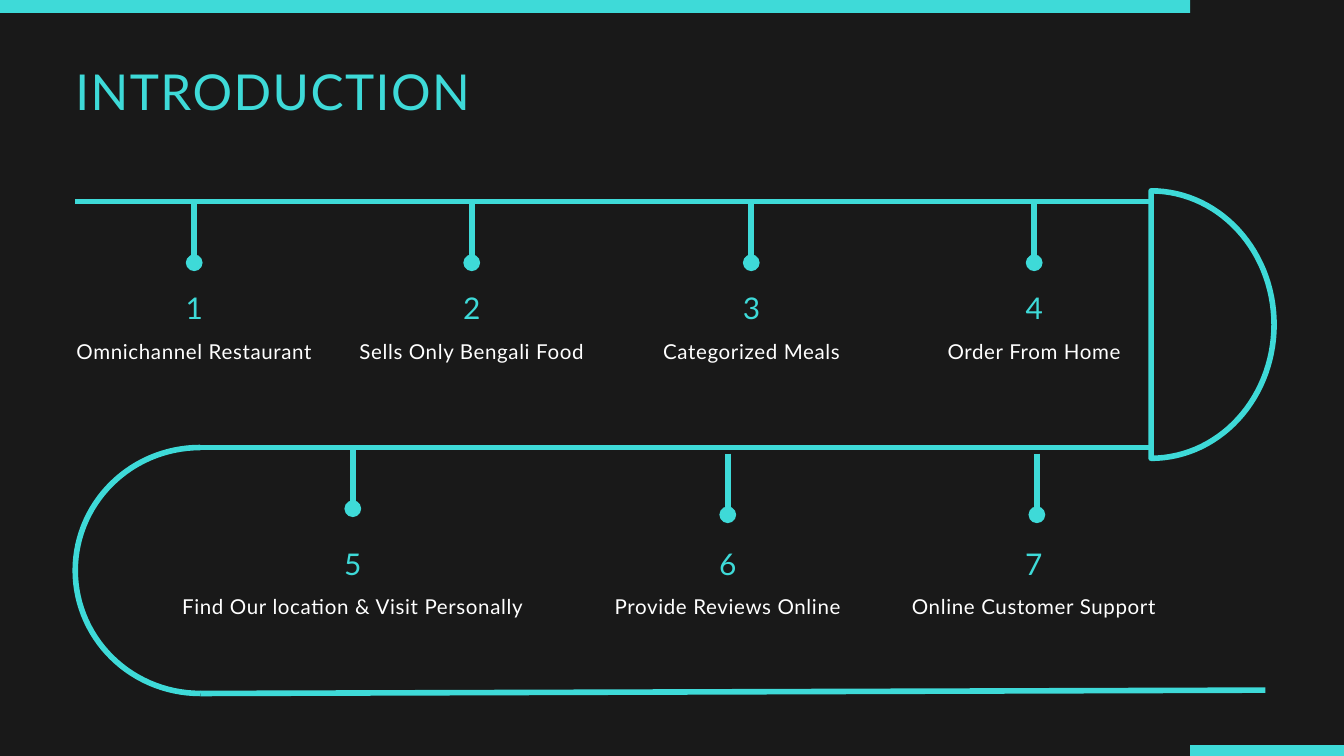
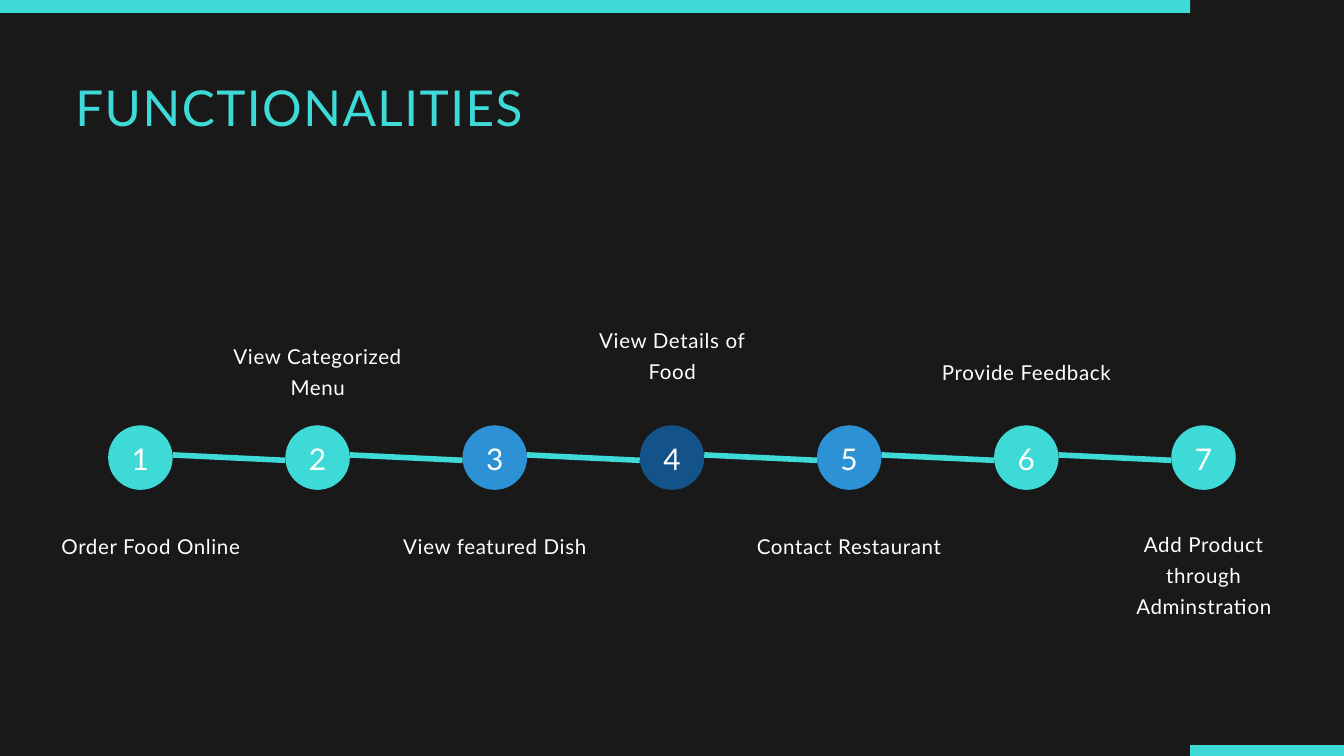
import math

import pptx
import pptx.dml.color
import pptx.enum.shapes
import pptx.enum.text
import pptx.oxml
import pptx.oxml.ns
import pptx.util

PX = 9144  # EMU per px, 100 px to the inch
SLIDE_W, SLIDE_H = 2000, 1125

DARK = pptx.dml.color.RGBColor(0x19, 0x19, 0x19)
TEAL = pptx.dml.color.RGBColor(0x3E, 0xDA, 0xD8)
BLUE = pptx.dml.color.RGBColor(0x2C, 0x92, 0xD5)
NAVY = pptx.dml.color.RGBColor(0x13, 0x53, 0x8A)
WHITE = pptx.dml.color.RGBColor(0xFF, 0xFF, 0xFF)

FONT = "Lato"
# size, line spacing, letter spacing (points), colour
TITLE = (53, 68.9, 1.6, TEAL)
NUMBER = (32, 41.6, 1.6, TEAL)
LABEL = (22, 33, 0.7, WHITE)
CIRCLE_NUMBER = (32, 48, 1, WHITE)

LEFT = pptx.enum.text.PP_ALIGN.LEFT
CENTER = pptx.enum.text.PP_ALIGN.CENTER
SHAPE = pptx.enum.shapes.MSO_SHAPE

# left, top, width, height
BARS = [(1771, 1109, 229, 16), (0, 0, 1771, 19)]

# x1, y1, x2, y2
TRACKS = [(112, 300, 1711, 300), (298, 666, 1711, 666), (298, 1032, 1883, 1027)]
# flat side x, centre y, horizontal radius (negative bulges left), vertical radius, closed
BENDS = [(1713, 483, 183, 199, True), (298, 849, -186, 183, False)]

STEM = 91
# top of the numbers, then milestones: stem x, stem top, text left, text width, label
ROWS = [
    (427, [
        (289, 300, 107, 364, "Omnichannel Restaurant"),
        (702, 300, 530, 344, "Sells Only Bengali Food"),
        (1118, 300, 939, 359, "Categorized Meals"),
        (1539, 300, 1367, 344, "Order From Home"),
    ]),
    (807, [
        (525, 666, 265, 520, "Find Our location & Visit Personally"),
        (1083, 675, 911, 344, "Provide Reviews Online"),
        (1543, 675, 1338, 401, "Online Customer Support"),
    ]),
]

# label, circle colour, label left, top, width, height
FUNCTIONS = [
    ("Order Food Online", TEAL, 78, 786, 293, 42),
    ("View Categorized Menu", TEAL, 313, 503, 320, 87),
    ("View featured Dish", BLUE, 590, 786, 293, 42),
    ("View Details of Food", NAVY, 854, 479, 293, 87),
    ("Contact Restaurant", BLUE, 1117, 786, 293, 42),
    ("Provide Feedback", TEAL, 1381, 526, 293, 42),
    ("Add Product through Adminstration", TEAL, 1645, 783, 293, 131),
]
CIRCLE = 96
CIRCLE_TOP = 633
FIRST_CENTER, LAST_CENTER = 209, 1791
LINK_START_Y, LINK_END_Y = 677, 685


def px(*lengths):
    return [pptx.util.Emu(round(length * PX)) for length in lengths]


def write(frame, text, style, align):
    size, line, tracking, color = style
    frame.margin_left = frame.margin_top = frame.margin_right = frame.margin_bottom = 0
    paragraph = frame.paragraphs[0]
    paragraph.text = text
    paragraph.alignment = align
    paragraph.line_spacing = pptx.util.Pt(line)
    font = paragraph.font
    font.name, font.size = FONT, pptx.util.Pt(size)
    font.color.rgb = color
    defaults = paragraph._p.pPr.find(pptx.oxml.ns.qn("a:defRPr"))
    defaults.set("spc", str(round(tracking * 100)))


def add_text(slide, text, style, left, top, width, height, align=CENTER):
    frame = slide.shapes.add_textbox(*px(left, top, width, height)).text_frame
    frame.word_wrap = True
    frame.auto_size = pptx.enum.text.MSO_AUTO_SIZE.SHAPE_TO_FIT_TEXT
    write(frame, text, style, align)


def add_filled(slide, preset, color, *box):
    shape = slide.shapes.add_shape(preset, *px(*box))
    shape.shadow.inherit = False
    shape.fill.solid()
    shape.fill.fore_color.rgb = color
    shape.line.fill.background()
    return shape


def set_stroke(line):
    line.color.rgb = TEAL
    line.width = pptx.util.Pt(6)


def add_line(slide, ends, dot=False):
    line = slide.shapes.add_connector(
        pptx.enum.shapes.MSO_CONNECTOR.STRAIGHT, *px(*ends))
    set_stroke(line.line)
    properties = line._element.spPr
    if dot:
        tail = pptx.oxml.parse_xml(
            f'<a:tailEnd {pptx.oxml.ns.nsdecls("a")} type="oval"/>')
        properties.find(pptx.oxml.ns.qn("a:ln")).append(tail)
    properties.append(pptx.oxml.parse_xml(
        f'<a:effectLst {pptx.oxml.ns.nsdecls("a")}/>'))


def add_bend(slide, x, y, radius_x, radius_y, closed, steps=60):
    """Draw half an ellipse that leads the track from one row to the next."""
    angles = [math.pi * (i / steps - 0.5) for i in range(steps + 1)]
    points = [px(x + radius_x * math.cos(a), y + radius_y * math.sin(a)) for a in angles]
    builder = slide.shapes.build_freeform(*points[0])
    builder.add_line_segments(points[1:], close=closed)
    bend = builder.convert_to_shape()
    bend.shadow.inherit = False
    bend.fill.background()
    set_stroke(bend.line)


def add_slide(deck, title, title_top):
    slide = deck.slides.add_slide(deck.slide_layouts[6])
    slide.background.fill.solid()
    slide.background.fill.fore_color.rgb = DARK
    for bar in BARS:
        add_filled(slide, SHAPE.RECTANGLE, TEAL, *bar)
    add_text(slide, title, TITLE, 112, title_top, 1339, 93, LEFT)
    return slide


def add_introduction(deck):
    slide = add_slide(deck, "INTRODUCTION", 84)
    for bend in BENDS:
        add_bend(slide, *bend)
    for track in TRACKS:
        add_line(slide, track)
    number = 0
    for top, milestones in ROWS:
        for x, stem_top, left, width, label in milestones:
            number += 1
            add_line(slide, (x, stem_top, x, stem_top + STEM), dot=True)
            add_text(slide, str(number), NUMBER, left, top, width, 55)
            add_text(slide, label, LABEL, left, top + 68, width, 40)


def add_functionalities(deck):
    slide = add_slide(deck, "FUNCTIONALITIES", 107)
    pitch = (LAST_CENTER - FIRST_CENTER) / (len(FUNCTIONS) - 1)
    for i, (label, color, *label_box) in enumerate(FUNCTIONS):
        left = FIRST_CENTER + i * pitch - CIRCLE / 2
        add_text(slide, label, LABEL, *label_box)
        circle = add_filled(slide, SHAPE.OVAL, color, left, CIRCLE_TOP, CIRCLE, CIRCLE)
        frame = circle.text_frame
        write(frame, str(i + 1), CIRCLE_NUMBER, CENTER)
        frame.vertical_anchor = pptx.enum.text.MSO_ANCHOR.MIDDLE
        frame.margin_bottom = px(11)[0]
        if i:
            add_line(slide, (left - pitch + CIRCLE, LINK_START_Y, left, LINK_END_Y))


def main():
    deck = pptx.Presentation()
    deck.slide_width, deck.slide_height = px(SLIDE_W, SLIDE_H)
    add_introduction(deck)
    add_functionalities(deck)
    deck.save("out.pptx")


if __name__ == "__main__":
    main()
